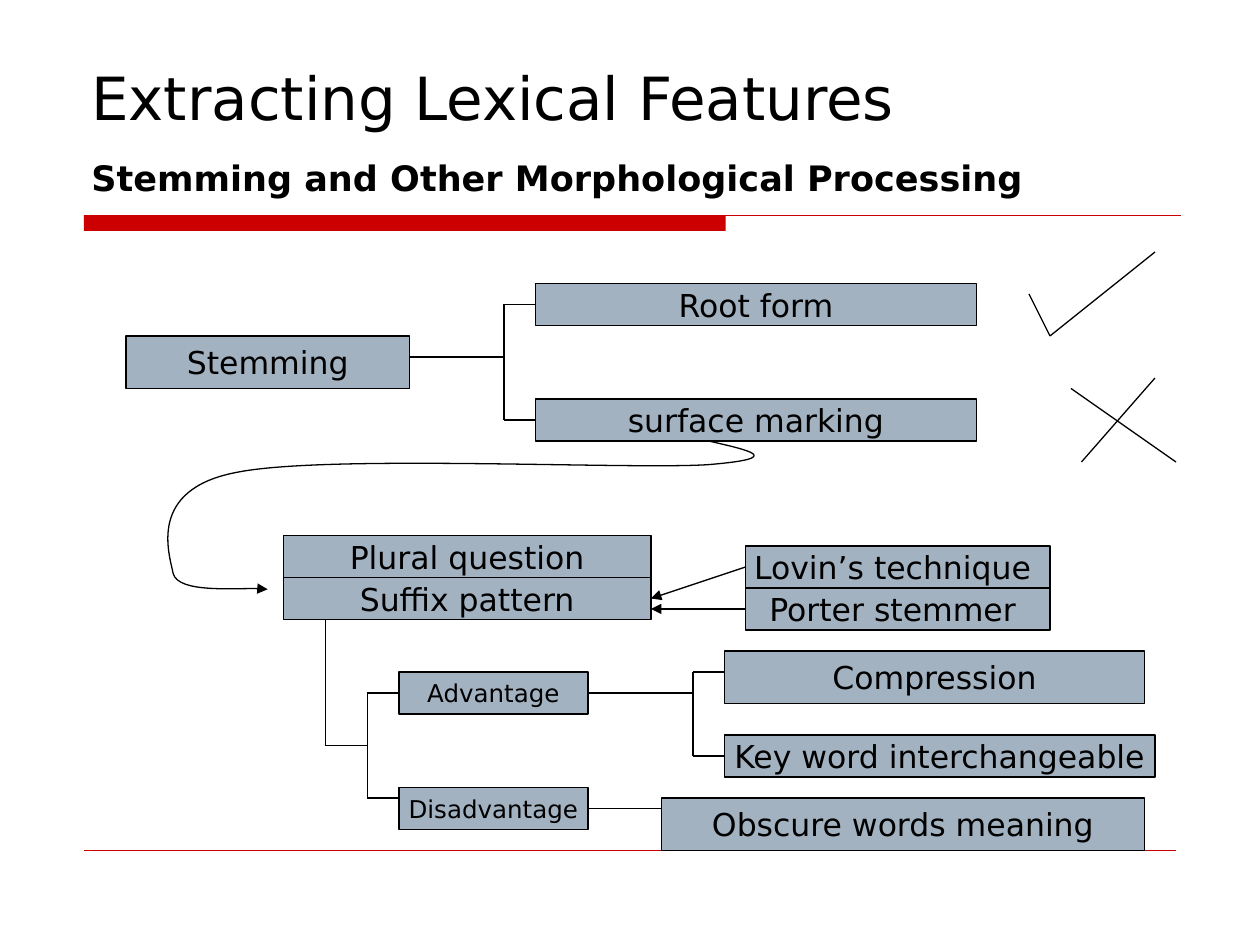
from dataclasses import dataclass
from itertools import pairwise

from lxml.etree import SubElement
from pptx import Presentation
from pptx.dml.color import RGBColor
from pptx.enum.shapes import MSO_CONNECTOR, MSO_SHAPE
from pptx.enum.text import MSO_ANCHOR, MSO_AUTO_SIZE, PP_ALIGN
from pptx.oxml.ns import qn
from pptx.util import Pt

PX = 9525  # EMU in one px, 96 px to the inch
TOP, LEFT, BOTTOM, RIGHT = range(4)  # connection sites of a rectangle


@dataclass(frozen=True)
class Theme:
    font: str = "DejaVu Sans"
    ink: RGBColor = RGBColor(0, 0, 0)
    accent: RGBColor = RGBColor(0xCC, 0, 0)
    box: RGBColor = RGBColor(0xA3, 0xB2, 0xC1)
    title: int = 34
    subtitle: int = 20
    label: int = 18
    small: int = 14
    stroke: float = 0.75
    hairline: float = 0.25


T = Theme()


def set_font(r, size, bold=False):
    for name, value in {"name": T.font, "size": Pt(size), "bold": bold}.items():
        setattr(r.font, name, value)
    r.font.color.rgb = T.ink


def add_arrowhead(shape):
    SubElement(shape.line._get_or_add_ln(), qn("a:tailEnd"), type="triangle")


@dataclass
class Region:
    """Part of the slide; positions inside it count from its top left corner."""
    slide: object
    x: int
    y: int

    def emu(self, x, y):
        return (self.x + x) * PX, (self.y + y) * PX

    def rect(self, x, y, w, h, fill):
        sp = self.slide.shapes.add_shape(
            MSO_SHAPE.RECTANGLE, *self.emu(x, y), w * PX, h * PX)
        sp.shadow.inherit = False
        sp.fill.solid()
        sp.fill.fore_color.rgb = fill
        return sp

    def label(self, text, x, y, w, h=32, size=T.label):
        sp = self.rect(x, y, w, h, T.box)
        sp.line.color.rgb = T.ink
        sp.line.width = Pt(T.stroke)
        tf = sp.text_frame
        tf.word_wrap = False
        tf.vertical_anchor = MSO_ANCHOR.MIDDLE
        p = tf.paragraphs[0]
        p.alignment = PP_ALIGN.CENTER
        r = p.add_run()
        r.text = text
        set_font(r, size)
        return sp

    def line(self, start, end, color=T.ink, width=T.stroke, begin=None, finish=None):
        """Straight line; begin and finish are (shape, site) joints."""
        c = self.slide.shapes.add_connector(
            MSO_CONNECTOR.STRAIGHT, *self.emu(*start), *self.emu(*end))
        SubElement(c._element.spPr, qn("a:effectLst"))
        c.line.color.rgb = color
        c.line.width = Pt(width)
        if begin:
            c.begin_connect(*begin)
        if finish:
            c.end_connect(*finish)
        return c

    def fork(self, x, tips, top=None, bottom=None):
        """Vertical bar with one branch to the right for each of two tips."""
        (_, y1), (_, y2) = tips
        self.line((x, y1), (x, y2))
        for tip, joint in zip(tips, (top, bottom)):
            self.line((x, tip[1]), tip, finish=joint)

    def curve(self, points):
        """Chain of cubic curves: a start, then three points for each curve."""
        start, *rest = [self.emu(*pt) for pt in points]
        fb = self.slide.shapes.build_freeform(*start)
        fb.add_line_segments(rest, close=False)
        sp = fb.convert_to_shape()
        sp.shadow.inherit = False
        sp.fill.background()
        sp.line.color.rgb = T.ink
        sp.line.width = Pt(T.stroke)
        # Join each three straight segments into one cubic curve
        segments = list(sp._element.iter(qn("a:lnTo")))
        for i in range(0, len(segments), 3):
            bez = SubElement(segments[i].getparent(), qn("a:cubicBezTo"))
            for seg in segments[i:i + 3]:
                bez.append(seg[0])
                seg.getparent().remove(seg)
        return sp


def add_title(slide, x, y, w, h):
    title = slide.shapes.title
    box = {"left": x, "top": y, "width": w, "height": h}
    for name, value in box.items():
        setattr(title, name, value * PX)
    tf = title.text_frame
    tf.auto_size = MSO_AUTO_SIZE.NONE
    tf.word_wrap = True
    tf.vertical_anchor = MSO_ANCHOR.BOTTOM
    p = tf.paragraphs[0]
    p.alignment = PP_ALIGN.LEFT
    parts = [("Extracting Lexical Features", T.title, False),
             ("Stemming and Other Morphological Processing", T.subtitle, True),
             (" ", T.title, False)]
    for i, (text, size, bold) in enumerate(parts):
        if i == 1:
            p.add_line_break()
            SubElement(p._p[-1], qn("a:rPr"), sz=str(T.title * 100))
        r = p.add_run()
        r.text = text
        set_font(r, size, bold)


def add_rules(slide, x, y, w, h):
    g = Region(slide, x, y)
    bar = g.rect(0, 0, 489, 12, T.accent)
    bar.line.fill.background()
    g.line((0, 0), (w, 0), T.accent)
    g.line((0, h), (w - 4, h), T.accent, T.hairline)


def add_stemming(slide, x, y):
    g = Region(slide, x, y)
    g.label("Stemming", 0, 40, 216, 40)
    root = g.label("Root form", 312, 0, 336)
    surface = g.label("surface marking", 312, 88, 336)
    g.line((216, 56), (288, 56))
    g.fork(288, [(312, 16), (312, 104)], (root, LEFT), (surface, LEFT))


def add_marks(slide, x, y):
    g = Region(slide, x, y)
    # Check mark
    for start, end in pairwise([(0, 32), (16, 64), (96, 0)]):
        g.line(start, end)
    # Cross
    g.line((96, 96), (40, 160))
    g.line((32, 104), (112, 160))


def add_patterns(slide, x, y):
    g = Region(slide, x, y)
    g.label("Plural question", 0, 0, 280)
    suffix = g.label("Suffix pattern", 0, 32, 280)
    lovin = g.label("Lovin’s technique ", 352, 8, 232)
    porter = g.label("Porter stemmer ", 352, 40, 232)
    arrows = [
        g.line((352, 24), (280, 48), begin=(lovin, LEFT), finish=(suffix, RIGHT)),
        g.line((352, 56), (280, 56), begin=(porter, LEFT)),
        # Sweep from the surface marking box
        g.curve([(324, -72), (354, -65), (384, -59), (324, -54),
                 (264, -50), (32, -62), (-36, -48),
                 (-104, -35), (-87, 14), (-84, 29),
                 (-80, 44), (-24, 39), (-12, 41)]),
    ]
    for arrow in arrows:
        add_arrowhead(arrow)


def add_tradeoffs(slide, x, y):
    g = Region(slide, x, y)
    pro = g.label("Advantage", 56, 40, 144, size=T.small)
    con = g.label("Disadvantage", 56, 128, 144, size=T.small)
    g.label("Compression", 304, 24, 320, 40)
    keyword = g.label("Key word interchangeable", 304, 88, 328)
    g.label("Obscure words meaning", 256, 136, 368, 40)
    # Stem from the suffix box, then the two forks
    g.line((0, 0), (0, 96))
    g.line((0, 96), (32, 96))
    g.fork(32, [(56, 56), (56, 136)], top=(pro, LEFT))
    g.line((200, 56), (280, 56), begin=(pro, RIGHT))
    g.fork(280, [(304, 40), (304, 104)], bottom=(keyword, LEFT))
    g.line((200, 144), (256, 144), begin=(con, RIGHT))


def main():
    prs = Presentation()
    prs.slide_width, prs.slide_height = 960 * PX, 720 * PX
    s = prs.slides.add_slide(prs.slide_layouts[5])
    add_rules(s, 64, 164, 836, 484)
    add_title(s, 60, 32, 840, 128)
    add_stemming(s, 96, 216)
    add_marks(s, 784, 192)
    add_patterns(s, 216, 408)
    add_tradeoffs(s, 248, 472)
    prs.save("out.pptx")


if __name__ == "__main__":
    main()
